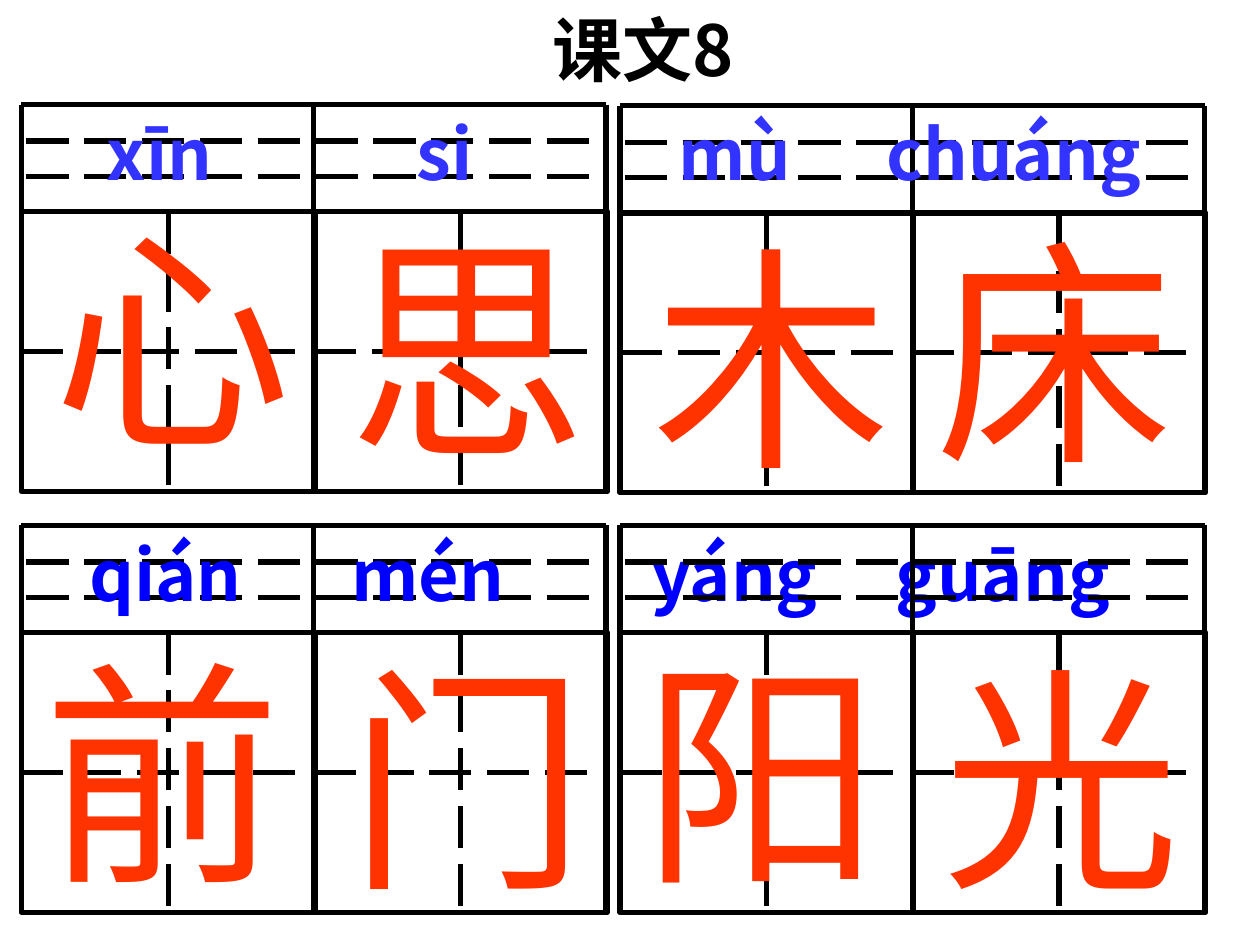
from dataclasses import dataclass

import pptx
import pptx.dml.color
import pptx.enum.dml
import pptx.enum.shapes
import pptx.enum.text
import pptx.oxml.ns
import pptx.oxml.xmlchemy
import pptx.util
from lxml import etree
from pptx.util import Inches

qn = pptx.oxml.ns.qn


@dataclass(frozen=True)
class Theme:
    black: str = "000000"
    character_red: str = "FF3300"
    upper_blue: str = "3333FF"
    lower_blue: str = "0000FF"
    chinese_font: str = "Noto Sans CJK SC"
    latin_font: str = "Arial"
    heading_size: int = 40
    character_size: int = 136
    line_width: int = 3


@dataclass(frozen=True)
class Character:
    text: str
    left: float
    top: float
    font: str


@dataclass(frozen=True)
class Syllable:
    text: str
    tab: float


@dataclass(frozen=True)
class PracticeRow:
    grid_tops: tuple[float, float]
    pinyin_top: float
    pinyin_width: float
    pinyin_color: str
    syllables: tuple[Syllable, ...]
    characters: tuple[Character, ...]


THEME = Theme()
GRID_LEFTS = (0.17, 4.92)
CELL_PITCH = 2.32
CELL_WIDTH = 2.33
CELL_HEIGHT = 2.22
PINYIN_HEIGHT = 0.85
GUIDE_GAP = 0.28
GUIDE_INSET = 0.04

ROWS = (
    PracticeRow(
        (0.83, 0.84), 0.83, 9.96, THEME.upper_blue,
        (Syllable("xīn", 0.75), Syllable("si", 3.21),
         Syllable("mù", 5.29), Syllable("chuáng", 6.94)),
        (Character("心", 0.33, 1.47, THEME.chinese_font),
         Character("思", 2.67, 1.55, THEME.chinese_font),
         Character("木", 5.08, 1.63, THEME.latin_font),
         Character("床", 7.33, 1.58, THEME.latin_font)),
    ),
    PracticeRow(
        (4.17, 4.17), 4.17, 9.58, THEME.lower_blue,
        (Syllable("qián", 0.61), Syllable("mén", 2.69),
         Syllable("yáng", 5.07), Syllable("guāng", 7.01)),
        (Character("前", 0.25, 4.92, THEME.latin_font),
         Character("门", 2.67, 4.97, THEME.latin_font),
         Character("阳", 5.0, 4.92, THEME.latin_font),
         Character("光", 7.38, 4.97, THEME.latin_font)),
    ),
)


def color(value: str) -> pptx.dml.color.RGBColor:
    return pptx.dml.color.RGBColor.from_string(value)


def style_line(line, dashed: bool = False) -> None:
    line.color.rgb = color(THEME.black)
    line.width = pptx.util.Pt(THEME.line_width)
    if dashed:
        line.dash_style = pptx.enum.dml.MSO_LINE.LONG_DASH


def draw_line(group, start: tuple[float, float], end: tuple[float, float],
              dashed: bool = False) -> None:
    connector = group.shapes.add_connector(
        pptx.enum.shapes.MSO_CONNECTOR.STRAIGHT,
        *(Inches(value) for value in start + end))
    style_line(connector.line, dashed)
    etree.SubElement(connector._element.spPr, qn("a:effectLst"))


def draw_cell(group, left: float, top: float) -> None:
    """Draw a character square with its dashed centre cross."""
    square = group.shapes.add_shape(
        pptx.enum.shapes.MSO_SHAPE.RECTANGLE, Inches(left), Inches(top),
        Inches(CELL_WIDTH), Inches(CELL_HEIGHT))
    square.shadow.inherit = False
    square.fill.background()
    style_line(square.line)
    middle_x = left + CELL_WIDTH / 2
    middle_y = top + CELL_HEIGHT / 2
    draw_line(group, (middle_x, top), (middle_x, top + CELL_HEIGHT), True)
    draw_line(group, (left, middle_y), (left + 2.28, middle_y), True)


def draw_grid(page, left: float, top: float) -> None:
    """Draw two character cells below a pinyin band."""
    group = page.shapes.add_group_shape()
    right = left + 2 * CELL_PITCH
    for column in range(2):
        draw_cell(group, left + column * CELL_PITCH, top + PINYIN_HEIGHT)
    draw_line(group, (left, top), (right, top))
    for guide in (1, 2):
        guide_y = top + guide * GUIDE_GAP + 0.01
        draw_line(group, (left + GUIDE_INSET, guide_y), (right, guide_y), True)
    for column in range(3):
        edge = left + column * CELL_PITCH
        draw_line(group, (edge, top), (edge, top + PINYIN_HEIGHT + CELL_HEIGHT))


def add_text(page, text: str, left: float, top: float, width: float,
             height: float, font: str, size: int, text_color: str,
             bold: bool = False, tabs: tuple[float, ...] = ()) -> None:
    box = page.shapes.add_textbox(
        Inches(left), Inches(top), Inches(width), Inches(height))
    frame = box.text_frame
    frame.word_wrap = True
    frame.auto_size = pptx.enum.text.MSO_AUTO_SIZE.SHAPE_TO_FIT_TEXT
    para = frame.paragraphs[0]
    para.text = text
    properties = para._p.get_or_add_pPr()
    if tabs:
        tab_list = etree.SubElement(properties, qn("a:tabLst"))
        for tab in tabs:
            etree.SubElement(tab_list, qn("a:tab"), pos=str(Inches(tab)), algn="l")
    para.font.size = pptx.util.Pt(size)
    para.font.bold = bold
    para.font.color.rgb = color(text_color)
    para.font.name = font
    etree.SubElement(properties.find(qn("a:defRPr")), qn("a:ea"),
                     typeface=THEME.chinese_font)


def draw_row(page, row: PracticeRow) -> None:
    left_grid, right_grid = zip(GRID_LEFTS, row.grid_tops)
    draw_grid(page, *left_grid)
    if row.pinyin_color == THEME.upper_blue:
        draw_grid(page, *right_grid)
    add_text(page, "".join("\t" + syllable.text for syllable in row.syllables),
             0, row.pinyin_top, row.pinyin_width, 0.77, THEME.chinese_font,
             THEME.heading_size, row.pinyin_color, True,
             tuple(syllable.tab for syllable in row.syllables))
    if row.pinyin_color == THEME.lower_blue:
        draw_grid(page, *right_grid)
    for character in row.characters:
        add_text(page, character.text, character.left, character.top, 2.28, 2.37,
                 character.font, THEME.character_size, THEME.character_red)


def main() -> None:
    deck = pptx.Presentation()
    deck.slide_width, deck.slide_height = Inches(10), Inches(7.5)
    page = deck.slides.add_slide(deck.slide_layouts[6])
    add_text(page, "课文8", 4.29, 0, 2.52, 0.77, THEME.chinese_font,
             THEME.heading_size, THEME.black, True)
    for row in ROWS:
        draw_row(page, row)
    deck.save("out.pptx")


if __name__ == "__main__":
    main()
